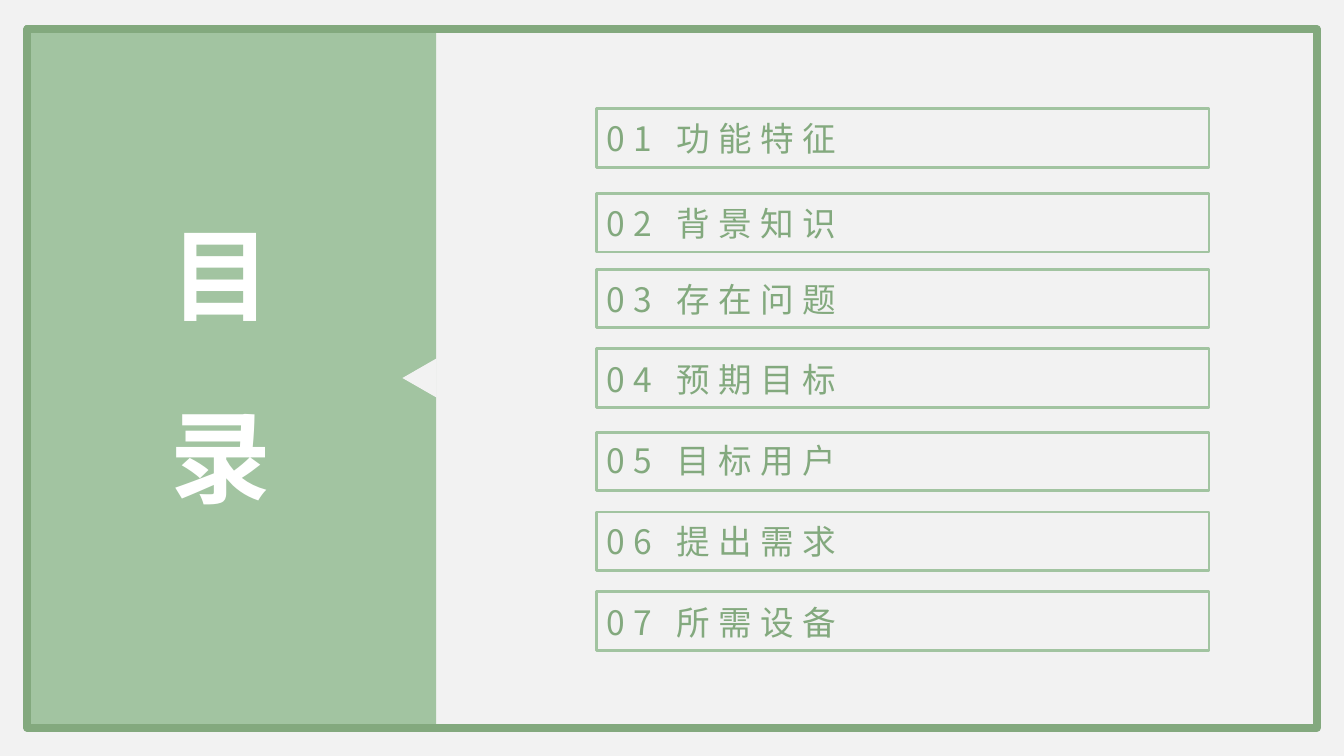
from lxml.etree import SubElement
from pptx import Presentation
from pptx.dml.color import RGBColor
from pptx.enum.shapes import MSO_SHAPE
from pptx.enum.text import MSO_ANCHOR, MSO_AUTO_SIZE, PP_ALIGN
from pptx.oxml.ns import qn
from pptx.util import Inches, Pt

HEADING = ["目", "录"]
ENTRIES = [
    ("功能特征", 1.08, 1.12),
    ("背景知识", 1.92, 1.96),
    ("存在问题", 2.67, 2.72),
    ("预期目标", 3.46, 3.51),
    ("目标用户", 4.29, 4.32),
    ("提出需求", 5.08, 5.12),
    ("所需设备", 5.87, 5.92),
]
ENTRY_LEFT = 5.92

FONT = "Noto Sans CJK SC"
PAPER = RGBColor(0xF2, 0xF2, 0xF2)
LIGHT_GREEN = RGBColor(0xA2, 0xC4, 0xA1)
DARK_GREEN = RGBColor(0x83, 0xA9, 0x7E)
WHITE = RGBColor(0xFF, 0xFF, 0xFF)


def add_block(slide, preset, box, fill=None, line=None, weight=0):
    block = slide.shapes.add_shape(preset, *map(Inches, box))
    block.shadow.inherit = False
    if fill is None:
        block.fill.background()
    else:
        block.fill.solid()
        block.fill.fore_color.rgb = fill
    if line is None:
        block.line.fill.background()
    else:
        block.line.color.rgb = line
        block.line.width = Pt(weight)
    return block


def add_spaced_run(paragraph, text, size, color, bold=False):
    run = paragraph.add_run()
    run.text = text
    run.font.size = Pt(size)
    run.font.bold = bold
    run.font.color.rgb = color
    run.font.name = FONT
    properties = run.font._element
    properties.set("spc", "600")
    SubElement(properties, qn("a:ea"), typeface=FONT)


def add_heading(slide):
    heading = slide.shapes.title
    heading.left, heading.top = Inches(1.59), Inches(2.05)
    heading.width, heading.height = Inches(1.06), Inches(2.53)
    frame = heading.text_frame
    frame.auto_size = MSO_AUTO_SIZE.NONE
    frame.word_wrap = False
    frame.vertical_anchor = MSO_ANCHOR.MIDDLE
    for index, character in enumerate(HEADING):
        paragraph = frame.add_paragraph() if index else frame.paragraphs[0]
        paragraph.alignment = PP_ALIGN.LEFT
        paragraph.line_spacing = 1.5
        add_spaced_run(paragraph, character, 72, WHITE, bold=True)
    heading.element.getparent().append(heading.element)


def add_entry(slide, number, label, box_top, label_top):
    add_block(slide, MSO_SHAPE.RECTANGLE, (ENTRY_LEFT, box_top, 6.08, 0.58),
              line=LIGHT_GREEN, weight=2)
    entry = slide.shapes.add_textbox(
        Inches(ENTRY_LEFT), Inches(label_top), Inches(3.58), Inches(0.5))
    frame = entry.text_frame
    frame.word_wrap = True
    frame.auto_size = MSO_AUTO_SIZE.SHAPE_TO_FIT_TEXT
    add_spaced_run(frame.paragraphs[0], f"{number:02d} {label}", 24, DARK_GREEN)


def main():
    deck = Presentation()
    deck.slide_width, deck.slide_height = Inches(13.34), Inches(7.5)
    slide = deck.slides.add_slide(deck.slide_layouts.get_by_name("Title Only"))
    slide.background.fill.solid()
    slide.background.fill.fore_color.rgb = PAPER

    add_block(slide, MSO_SHAPE.RECTANGLE, (0.25, 0.25, 4.08, 7), fill=LIGHT_GREEN)
    add_block(slide, MSO_SHAPE.RECTANGLE, (0.27, 0.29, 12.8, 6.93),
              line=DARK_GREEN, weight=5.5)
    notch = add_block(slide, MSO_SHAPE.ISOSCELES_TRIANGLE,
                      (3.97, 3.58, 0.39, 0.34), fill=PAPER)
    notch.rotation = 270

    add_heading(slide)
    for number, (label, box_top, label_top) in enumerate(ENTRIES, start=1):
        add_entry(slide, number, label, box_top, label_top)
    deck.save("out.pptx")


if __name__ == "__main__":
    main()
